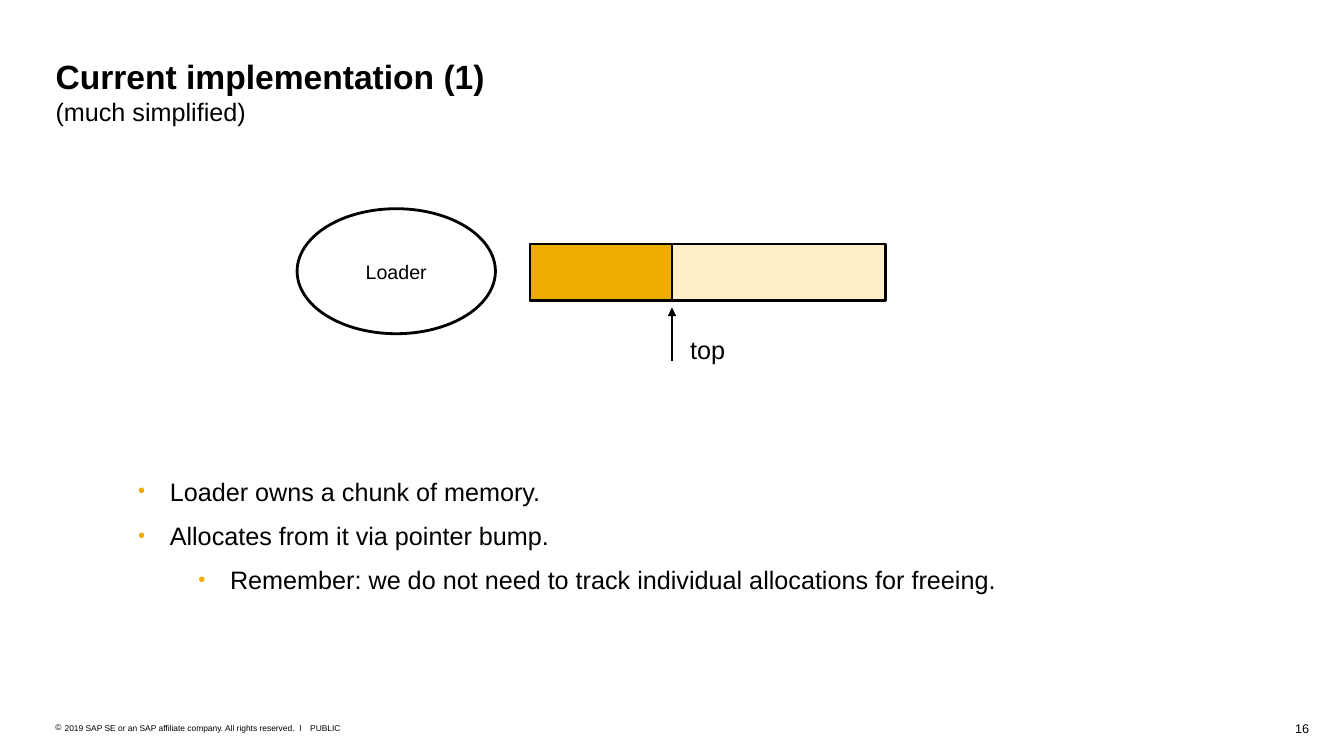
import pptx
import pptx.dml.color
import pptx.enum.dml
import pptx.enum.shapes
import pptx.enum.text
import pptx.oxml.ns
import pptx.util
from dataclasses import dataclass
from lxml import etree
from typing import Any, Optional

Cm = pptx.util.Cm
Pt = pptx.util.Pt
Kind = pptx.enum.shapes.MSO_SHAPE
Align = pptx.enum.text.PP_ALIGN
Anchor = pptx.enum.text.MSO_ANCHOR

FONT = "Arial"
BLACK = "000000"
GOLD = "F0AB00"
CREAM = "FFEFC9"
LINE = 2


@dataclass
class Box:
    left: float
    top: float
    width: float
    height: float


@dataclass
class Form:
    kind: Any
    box: Box
    fill: Optional[str] = None
    label: str = ""


@dataclass
class Note:
    box: Box
    text: str
    size: float
    align: Any = Align.LEFT
    wrap: bool = False
    mark: str = ""


@dataclass
class Item:
    text: str
    level: int = 0


CHUNK = Box(13.36, 6.15, 8.97, 1.42)
USED = Box(CHUNK.left, CHUNK.top, 3.58, CHUNK.height)
TOP = USED.left + USED.width

FORMS = [
    Form(Kind.OVAL, Box(7.49, 5.26, 5, 3.15), label="Loader"),
    Form(Kind.RECTANGLE, CHUNK, CREAM),
    Form(Kind.RECTANGLE, USED, GOLD),
]

NOTES = [
    Note(Box(17.4, 8.43, 0.89, 0.76), "top", 18),
    Note(Box(31.55, 18.16, 1.45, 0.38), "16", 9, Align.RIGHT),
    Note(Box(7.82, 18.21, 0.76, 0.25), "PUBLIC", 6),
    Note(Box(1.4, 18.21, 6.3, 0.25),
         "2019 SAP SE or an SAP affiliate company. All rights reserved.  ǀ",
         6, wrap=True, mark="©"),
]

ITEMS = [
    Item("Loader owns a chunk of memory."),
    Item("Allocates from it via pointer bump."),
    Item("Remember: we do not need to track individual allocations for freeing.", 1),
]


def color(code: str) -> Any:
    return pptx.dml.color.RGBColor.from_string(code)


def node(parent: Any, tag: str, **attrs: str) -> Any:
    return etree.SubElement(parent, pptx.oxml.ns.qn(tag), attrs)


def write(para: Any, text: str, *, size: float, bold: bool = False,
          align: Any = Align.LEFT, before: float = 0) -> None:
    para.alignment = align
    para.space_before = Pt(before)
    run = para.add_run()
    run.text = text
    run.font.name = FONT
    run.font.size = Pt(size)
    run.font.bold = bold
    run.font.color.rgb = color(BLACK)


def bullet(para: Any, mark: str, *, indent: float, hang: float,
           tint: str = BLACK, scale: int = 100) -> None:
    props = para._p.get_or_add_pPr()
    props.set("marL", str(Cm(indent)))
    props.set("indent", str(-Cm(hang)))
    node(node(props, "a:buClr"), "a:srgbClr", val=tint)
    node(props, "a:buSzPct", val=str(scale * 1000))
    node(props, "a:buFont", typeface=FONT)
    node(props, "a:buChar", char=mark)


def frame(shape: Any, wrap: bool = True) -> Any:
    body = shape.text_frame
    body.margin_left = body.margin_right = 0
    body.margin_top = body.margin_bottom = 0
    body.vertical_anchor = Anchor.TOP
    body.auto_size = pptx.enum.text.MSO_AUTO_SIZE.NONE
    body.word_wrap = wrap
    return body


def place(shape: Any, box: Box) -> None:
    shape.left, shape.top = Cm(box.left), Cm(box.top)
    shape.width, shape.height = Cm(box.width), Cm(box.height)


def draw(slide: Any, form: Form) -> None:
    box = form.box
    shape = slide.shapes.add_shape(
        form.kind, Cm(box.left), Cm(box.top), Cm(box.width), Cm(box.height))
    shape.shadow.inherit = False
    if form.fill:
        shape.fill.solid()
        shape.fill.fore_color.rgb = color(form.fill)
    else:
        shape.fill.background()
    shape.line.color.rgb = color(BLACK)
    shape.line.width = Pt(LINE)
    if form.label:
        shape.text_frame.vertical_anchor = Anchor.MIDDLE
        write(shape.text_frame.paragraphs[0], form.label, size=14, align=Align.CENTER)


def label(slide: Any, note: Note) -> None:
    box = note.box
    shape = slide.shapes.add_textbox(
        Cm(box.left), Cm(box.top), Cm(box.width), Cm(box.height))
    para = frame(shape, note.wrap).paragraphs[0]
    if note.mark:
        bullet(para, note.mark, indent=0.23, hang=0.23)
    write(para, note.text, size=note.size, align=note.align)


def arrow(slide: Any, x: float, start: float, end: float) -> None:
    line = slide.shapes.add_connector(
        pptx.enum.shapes.MSO_CONNECTOR.STRAIGHT, Cm(x), Cm(start), Cm(x), Cm(end))
    line.line.color.rgb = color(BLACK)
    line.line.width = Pt(LINE)
    node(line.line._get_or_add_ln(), "a:tailEnd", type="triangle")
    node(line._element.spPr, "a:effectLst")


def main() -> None:
    deck = pptx.Presentation()
    deck.slide_width, deck.slide_height = Cm(33.88), Cm(19.05)
    slide = deck.slides.add_slide(deck.slide_layouts[1])

    title = slide.shapes.title
    place(title, Box(1.4, 1.4, 31.06, 1.8))
    head = frame(title).paragraphs[0]
    write(head, "Current implementation (1)", size=24, bold=True)
    head.add_line_break()
    write(head, "(much simplified)", size=18)

    for form in FORMS:
        draw(slide, form)
    arrow(slide, TOP, 9.09, 7.75)
    for note in NOTES:
        label(slide, note)

    points = slide.placeholders[1]
    place(points, Box(3.48, 11.99, 26.09, 3.68))
    body = frame(points)
    for index, item in enumerate(ITEMS):
        para = body.add_paragraph() if index else body.paragraphs[0]
        para.level = item.level
        bullet(para, "•", indent=0.8 + 1.52 * item.level, hang=0.8, tint=GOLD, scale=80)
        write(para, item.text, size=18, before=10 if index else 0)

    deck.save("out.pptx")


if __name__ == "__main__":
    main()
